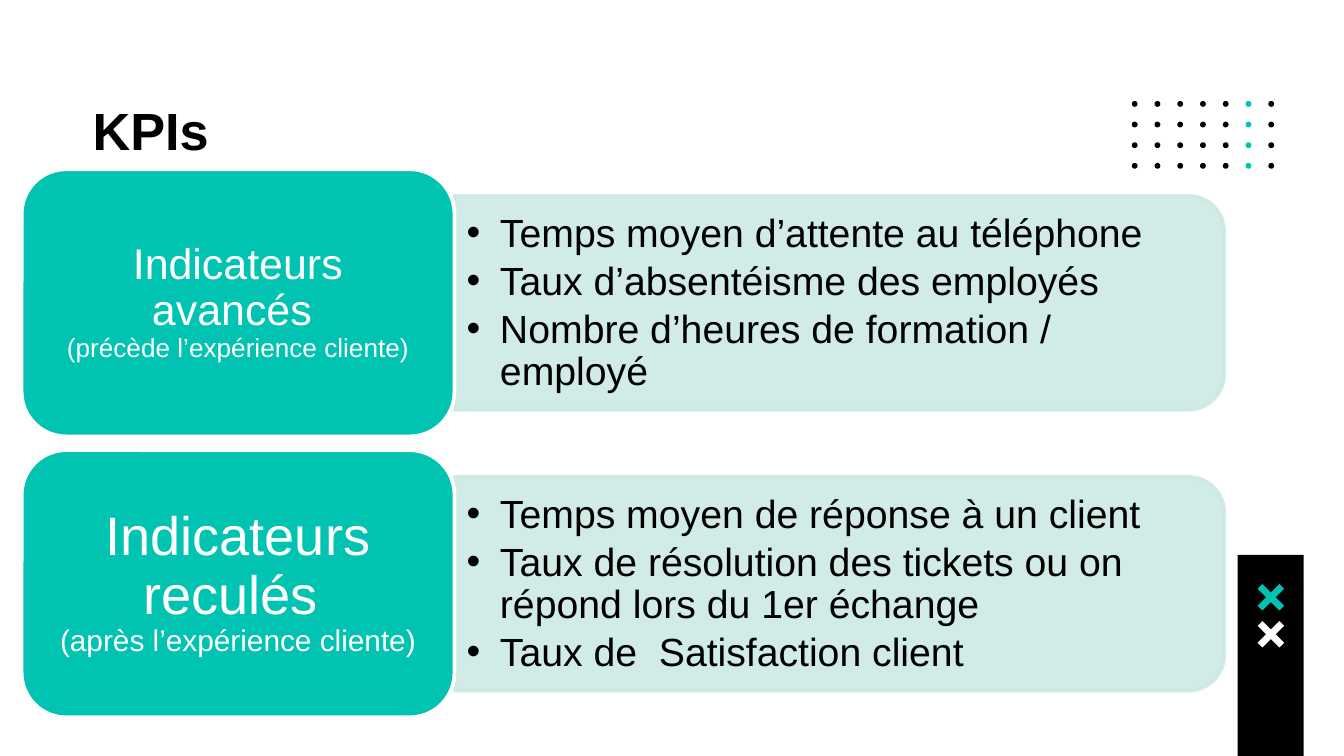
from lxml import etree
from pptx import Presentation
from pptx.dml.color import RGBColor
from pptx.enum.shapes import MSO_SHAPE
from pptx.enum.text import MSO_ANCHOR, MSO_AUTO_SIZE, PP_ALIGN
from pptx.oxml.ns import qn
from pptx.util import Cm, Pt

OVAL = MSO_SHAPE.OVAL
RECTANGLE = MSO_SHAPE.RECTANGLE
ROUNDED = MSO_SHAPE.ROUNDED_RECTANGLE
ROUNDED_TOP = MSO_SHAPE.ROUND_2_SAME_RECTANGLE
TOP, MIDDLE = MSO_ANCHOR.TOP, MSO_ANCHOR.MIDDLE
LEFT, CENTER = PP_ALIGN.LEFT, PP_ALIGN.CENTER
NO_AUTOFIT = MSO_AUTO_SIZE.NONE

FONT = "Arial"
BLACK, WHITE, TEAL, PALE = "000000", "FFFFFF", "00C3B1", "CCE9E4"
ROW_PITCH = 5.31
CROSS = [(9, 0), (0, 9), (16, 25), (0, 41), (9, 50), (25, 34),
         (41, 50), (50, 41), (34, 25), (50, 9), (41, 0), (25, 16)]

INDICATORS = [
    {"name": "Indicateurs avancés ", "name_size": 23,
     "note": "(précède l’expérience cliente)", "note_size": 14, "inset": 0.26,
     "items": ["Temps moyen d’attente au téléphone",
               "Taux d’absentéisme des employés",
               "Nombre d’heures de formation / employé"]},
    {"name": "Indicateurs reculés ", "name_size": 29,
     "note": "(après l’expérience cliente)", "note_size": 16, "inset": 0.3,
     "items": ["Temps moyen de réponse à un client",
               "Taux de résolution des tickets ou on répond lors du 1er échange",
               "Taux de  Satisfaction client"]},
]


def color(value):
    return RGBColor.from_string(value)


def paint(shape, fill, line=None):
    shape.shadow.inherit = False
    shape.fill.solid()
    shape.fill.fore_color.rgb = color(fill)
    if line:
        shape.line.color.rgb = color(line)
        shape.line.width = Pt(2)
    else:
        shape.line.fill.background()


def add_shape(slide, kind, left, top, width, height, fill, line=None):
    shape = slide.shapes.add_shape(kind, Cm(left), Cm(top), Cm(width), Cm(height))
    paint(shape, fill, line)
    return shape


def set_opacity(shape, percent):
    for element in shape.element.spPr.iter(qn("a:srgbClr")):
        etree.SubElement(element, qn("a:alpha"), val=str(percent * 1000))


def format_frame(frame, anchor, side, top, bottom):
    frame.word_wrap = True
    frame.auto_size = NO_AUTOFIT
    frame.vertical_anchor = anchor
    frame.margin_left = frame.margin_right = Cm(side)
    frame.margin_top, frame.margin_bottom = Cm(top), Cm(bottom)


def add_run(paragraph, text, size, text_color, bold=False):
    run = paragraph.add_run()
    run.text = text
    run.font.name = FONT
    run.font.size = Pt(size)
    run.font.bold = bold
    run.font.color.rgb = color(text_color)


def add_bullet(paragraph):
    properties = paragraph._p.get_or_add_pPr()
    properties.set("marL", str(Cm(0.63)))
    properties.set("indent", str(Cm(-0.63)))
    bullet_color = etree.SubElement(properties, qn("a:buClr"))
    etree.SubElement(bullet_color, qn("a:srgbClr"), val=BLACK)
    etree.SubElement(properties, qn("a:buFont"), typeface=FONT)
    etree.SubElement(properties, qn("a:buChar"), char="•")


def add_title(slide, text):
    title = slide.shapes.title
    title.left, title.top, title.width, title.height = Cm(1.5), Cm(1.5), Cm(22.5), Cm(2)
    format_frame(title.text_frame, TOP, 0.25, 0.36, 0.25)
    paragraph = title.text_frame.paragraphs[0]
    paragraph.alignment = LEFT
    add_run(paragraph, text, 28, BLACK, bold=True)


def add_dots(slide):
    for row in range(4):
        for column in range(7):
            fill = TEAL if column == 5 else BLACK
            add_shape(slide, OVAL, 21.39 + 0.43 * column, 1.91 + 0.39 * row, 0.11, 0.11, fill)


def add_cross(slide, left, top, fill):
    builder = slide.shapes.build_freeform(*CROSS[0], scale=Cm(0.01))
    builder.add_line_segments(CROSS[1:], close=True)
    paint(builder.convert_to_shape(Cm(left), Cm(top)), fill)


def add_side_bar(slide):
    add_shape(slide, RECTANGLE, 23.39, 10.49, 1.25, 3.8, BLACK)
    for index, fill in enumerate([TEAL, WHITE]):
        add_cross(slide, 23.77, 11.04 + 0.7 * index, fill)


def add_panel(slide, offset, items):
    panel = add_shape(slide, ROUNDED_TOP, 13.84, offset - 1.55, 4.04, 14.55, PALE, PALE)
    panel.rotation = 90
    set_opacity(panel, 90)
    box = slide.shapes.add_textbox(Cm(8.59), Cm(offset + 3.91), Cm(14.35), Cm(3.66))
    frame = box.text_frame
    format_frame(frame, MIDDLE, 0.23, 0.11, 0.11)
    for index, item in enumerate(items):
        paragraph = frame.add_paragraph() if index else frame.paragraphs[0]
        paragraph.level = 1
        paragraph.line_spacing = 0.9
        paragraph.space_after = Pt(3)
        add_bullet(paragraph)
        add_run(paragraph, item, 21, BLACK)


def add_badge(slide, offset, indicator):
    badge = add_shape(slide, ROUNDED, 0.41, offset + 3.2, 8.18, 5.05, TEAL, WHITE)
    inset = indicator["inset"]
    format_frame(badge.text_frame, MIDDLE, inset, inset / 2, inset / 2)
    paragraph = badge.text_frame.paragraphs[0]
    paragraph.alignment = CENTER
    paragraph.line_spacing = 0.9
    add_run(paragraph, indicator["name"], indicator["name_size"], WHITE)
    paragraph.add_line_break()
    add_run(paragraph, indicator["note"], indicator["note_size"], WHITE)


def main():
    presentation = Presentation()
    presentation.slide_width, presentation.slide_height = Cm(25.4), Cm(14.29)
    slide = presentation.slides.add_slide(presentation.slide_layouts[5])
    add_dots(slide)
    add_side_bar(slide)
    add_title(slide, "KPIs")
    for row, indicator in enumerate(INDICATORS):
        add_panel(slide, row * ROW_PITCH, indicator["items"])
        add_badge(slide, row * ROW_PITCH, indicator)
    presentation.save("out.pptx")


if __name__ == "__main__":
    main()
